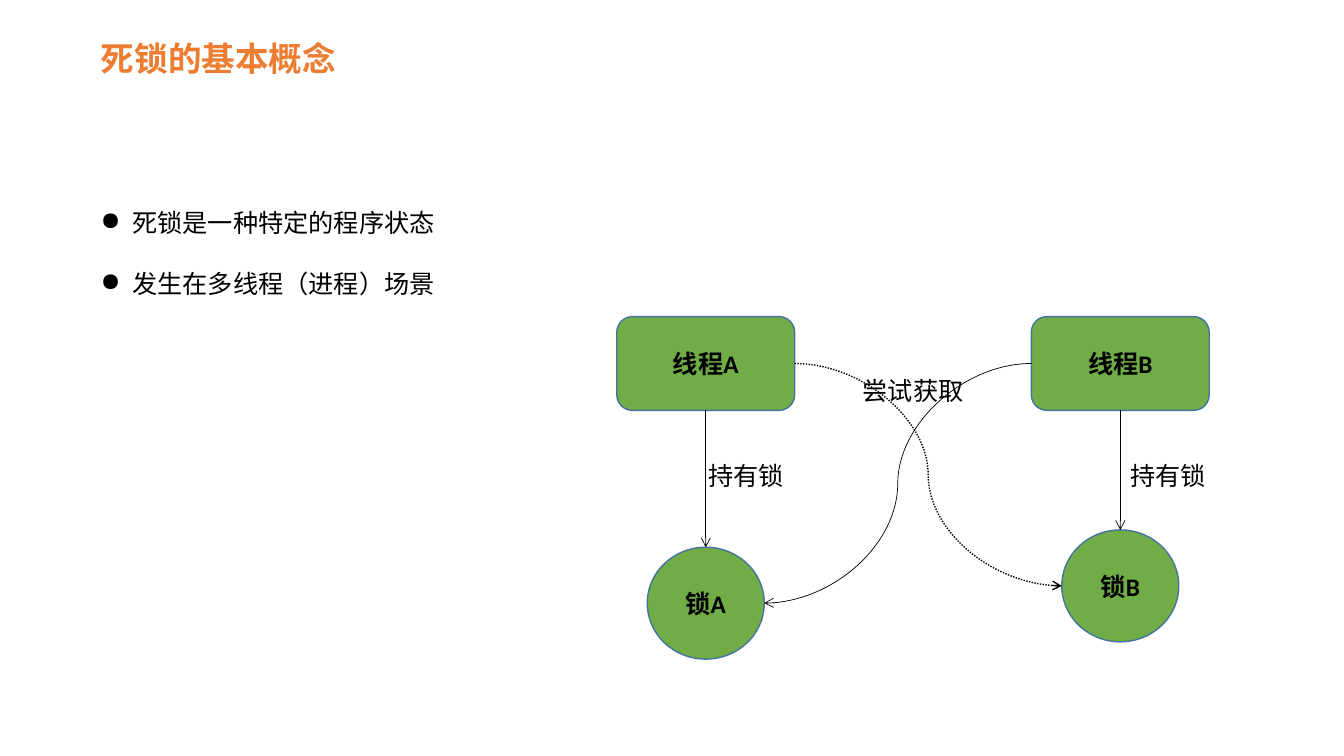
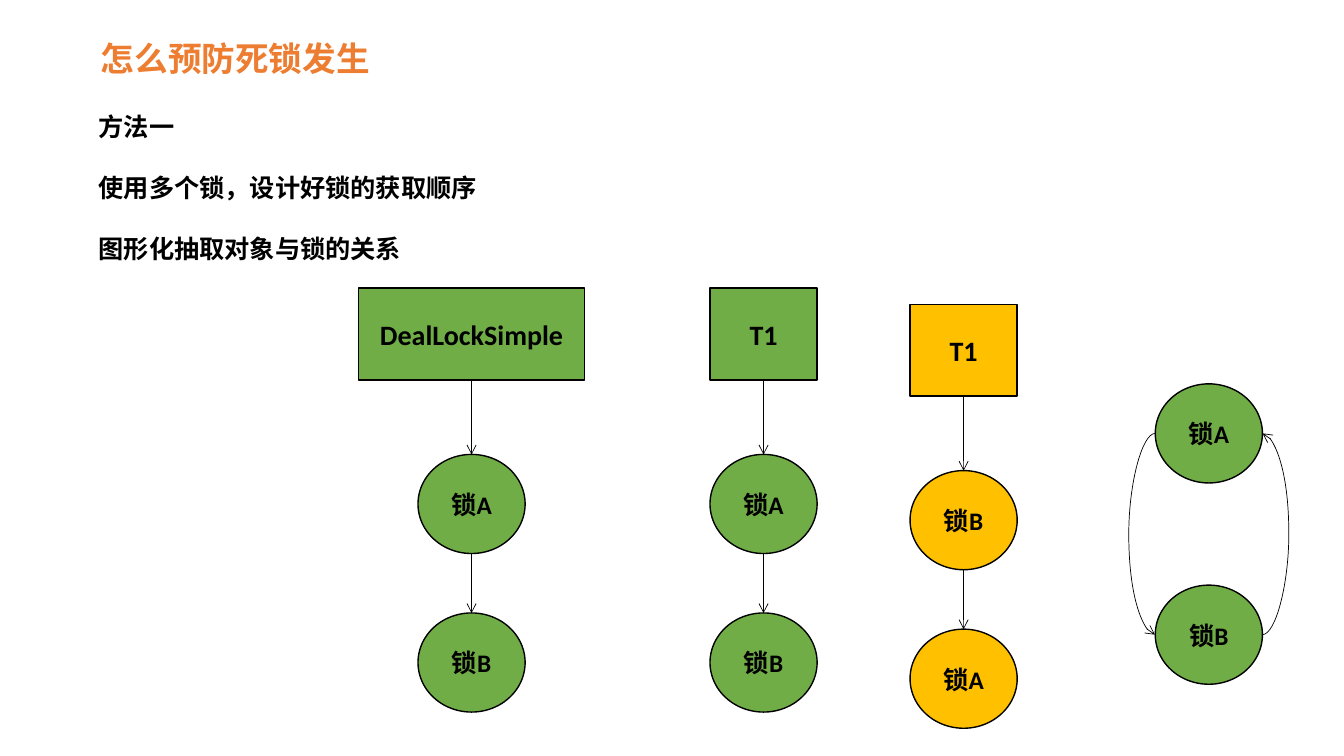
from dataclasses import dataclass
from itertools import pairwise

from lxml.etree import SubElement
from pptx import Presentation
from pptx.dml.color import RGBColor
from pptx.enum.dml import MSO_LINE
from pptx.enum.shapes import MSO_CONNECTOR, MSO_SHAPE
from pptx.enum.text import MSO_ANCHOR, MSO_AUTO_SIZE, PP_ALIGN
from pptx.oxml.ns import qn
from pptx.util import Emu, Inches, Pt

SIDES = {"top": (0.5, 0), "left": (0, 0.5), "bottom": (0.5, 1), "right": (1, 0.5)}


@dataclass(frozen=True)
class Theme:
    """Colours, fonts, type sizes and line widths."""
    accent: str = "ED7D31"
    ink: str = "000000"
    green: str = "70AD47"
    amber: str = "FFC000"
    outline: str = "43739E"
    cjk: str = "Noto Sans CJK SC"
    latin: str = "Calibri"
    title: int = 24
    head: int = 20
    body: int = 18
    leading: float = 1.21
    border: float = 1
    thin: float = 0.5


class Deck:
    """Draws on the current slide in cells of a 128 by 72 grid."""

    def __init__(self, theme):
        """Open a wide presentation."""
        self.theme = theme
        self.prs = Presentation()
        self.prs.slide_width, self.prs.slide_height = Inches(13.33), Inches(7.5)
        self.cell = self.prs.slide_height / 72

    def size(self, *cells):
        """Turn grid cells into lengths."""
        return [Emu(round(count * self.cell)) for count in cells]

    def fill_text(self, frame, lines, size, font, color=None, bold=False, gap=0):
        """Fill a text frame and format its paragraphs and runs."""
        frame.text = "\n".join(lines)
        for paragraph in frame.paragraphs:
            paragraph.line_spacing = Pt(round(size * self.theme.leading))
            paragraph.space_before = Pt(0)
            paragraph.space_after = Pt(gap)
            for run in paragraph.runs:
                run.font.size, run.font.bold, run.font.name = Pt(size), bold, font
                run.font.color.rgb = RGBColor.from_string(color or self.theme.ink)
                east_asian = SubElement(run._r.get_or_add_rPr(), qn("a:ea"))
                east_asian.set("typeface", self.theme.cjk)

    def slide(self, title):
        """Start a slide with its title."""
        self.page = self.prs.slides.add_slide(self.prs.slide_layouts[5])
        heading = self.page.shapes.title
        heading.left, heading.top, heading.width, heading.height = self.size(8.64, 3.07, 64.8, 4.8)
        frame = heading.text_frame
        frame.auto_size = MSO_AUTO_SIZE.NONE
        frame.vertical_anchor = MSO_ANCHOR.TOP
        self.fill_text(frame, [title], self.theme.title, self.theme.cjk, self.theme.accent, True)
        frame.paragraphs[0].alignment = PP_ALIGN.LEFT

    def points(self, box, lines, bold=False, bulleted=False):
        """Add spaced paragraphs, with or without bullets."""
        frame = self.page.shapes.add_textbox(*self.size(*box)).text_frame
        frame.word_wrap = True
        self.fill_text(frame, lines, self.theme.body, self.theme.cjk, bold=bold, gap=21.5)
        if bulleted:
            indent, = self.size(3)
            for paragraph in frame.paragraphs:
                properties = paragraph._p.get_or_add_pPr()
                properties.set("marL", str(indent))
                properties.set("indent", str(-indent))
                SubElement(properties, qn("a:buChar")).set("char", "●")

    def label(self, left, top, width, text):
        """Add an unwrapped label beside an arrow."""
        frame = self.page.shapes.add_textbox(*self.size(left, top, width, 3.84)).text_frame
        frame.word_wrap = False
        self.fill_text(frame, [text], self.theme.body, self.theme.latin)

    def node(self, kind, center, extent, text, fill=None, border=None, size=None):
        """Add a filled shape around a centre point."""
        (x, y), (width, height) = center, extent
        shape = self.page.shapes.add_shape(
            kind, *self.size(x - width / 2, y - height / 2, width, height))
        shape.shadow.inherit = False
        shape.fill.solid()
        shape.fill.fore_color.rgb = RGBColor.from_string(fill or self.theme.green)
        shape.line.color.rgb = RGBColor.from_string(border or self.theme.ink)
        shape.line.width = Pt(self.theme.border)
        frame = shape.text_frame
        frame.vertical_anchor = MSO_ANCHOR.MIDDLE
        self.fill_text(frame, [text], size or self.theme.body, self.theme.latin, bold=True)
        frame.paragraphs[0].alignment = PP_ALIGN.CENTER
        return shape

    def arrow(self, start, start_side, end, end_side,
              kind=MSO_CONNECTOR.STRAIGHT, dotted=False, bulge=0):
        """Glue an arrow to two nodes; a bulge bows it away from one side."""
        spots = []
        for shape, side in ((start, start_side), (end, end_side)):
            across, down = SIDES[side]
            spots += [round(shape.left + across * shape.width),
                      round(shape.top + down * shape.height)]
        nudge = 0.03
        if bulge:
            shift, = self.size(nudge)
            spots[2] = spots[0] + (shift if start_side == "right" else -shift)
        connector = self.page.shapes.add_connector(kind, *map(Emu, spots))
        connector.line.color.rgb = RGBColor.from_string(self.theme.ink)
        connector.line.width = Pt(self.theme.border if dotted else self.theme.thin)
        if dotted:
            connector.line.dash_style = MSO_LINE.ROUND_DOT
        properties = connector._element.spPr
        SubElement(properties.find(qn("a:ln")), qn("a:tailEnd")).set("type", "arrow")
        SubElement(properties, qn("a:effectLst"))
        if bulge:
            guide = SubElement(properties.find(".//" + qn("a:avLst")), qn("a:gd"))
            guide.set("name", "adj1")
            guide.set("fmla", f"val {round(bulge / nudge * 100000)}")
        glue = connector._element.find(".//" + qn("p:cNvCxnSpPr"))
        for tag, shape, side in (("a:stCxn", start, start_side), ("a:endCxn", end, end_side)):
            step = 2 if shape.auto_shape_type == MSO_SHAPE.OVAL else 1
            site = SubElement(glue, qn(tag))
            site.set("id", str(shape.shape_id))
            site.set("idx", str(list(SIDES).index(side) * step))

    def lock(self, x, y, name, fill=None):
        """Add a lock of the ordering diagrams."""
        return self.node(MSO_SHAPE.OVAL, (x, y), (10.2, 9.44), f"锁{name}", fill)

    def chain(self, x, drop, owner, width, locks, fill):
        """Add an owner with the locks it takes in order below it."""
        links = [self.node(MSO_SHAPE.RECTANGLE, (x, 31.82 + drop), (width, 8.74),
                           owner, fill, size=self.theme.head)]
        links += [self.lock(x, 48 + drop + 15.1 * turn, name, fill)
                  for turn, name in enumerate(locks)]
        for upper, lower in pairwise(links):
            self.arrow(upper, "bottom", lower, "top")


theme = Theme()
deck = Deck(theme)

deck.slide("死锁的基本概念")
deck.points((8.64, 19.2, 42.6, 9.7), ["死锁是一种特定的程序状态", "发生在多线程（进程）场景"],
            bulleted=True)
threads, locks = [], []
for name, x, lock_y, label_x in (("A", 67.2, 57.45, 66.5), ("B", 106.67, 55.8, 106.67)):
    threads.append(deck.node(MSO_SHAPE.ROUNDED_RECTANGLE, (x, 34.62), (16.94, 8.94),
                             f"线程{name}", border=theme.outline))
    locks.append(deck.node(MSO_SHAPE.OVAL, (x, lock_y), (11.14, 10.66),
                           f"锁{name}", border=theme.outline))
    deck.arrow(threads[-1], "bottom", locks[-1], "top")
    deck.label(label_x, 43.3, 9.12, "持有锁")
deck.arrow(threads[1], "left", locks[0], "right", MSO_CONNECTOR.CURVE)
deck.arrow(threads[0], "right", locks[1], "left", MSO_CONNECTOR.CURVE, dotted=True)
deck.label(81.2, 35.2, 11.5, "尝试获取")

deck.slide("怎么预防死锁发生")
deck.points((8.45, 10.08, 49.6, 15.5),
            ["方法一", "使用多个锁，设计好锁的获取顺序", "图形化抽取对象与锁的关系"], bold=True)
for x, drop, owner, width, order, fill in (
        (44.9, 0, "DealLockSimple", 21.5, "AB", theme.green),
        (72.7, 0, "T1", 10.2, "AB", theme.green),
        (91.75, 1.54, "T1", 10.2, "BA", theme.amber)):
    deck.chain(x, drop, owner, width, order, fill)
lock_a, lock_b = deck.lock(115.1, 41.28, "A"), deck.lock(115.1, 60.45, "B")
deck.arrow(lock_b, "right", lock_a, "right", MSO_CONNECTOR.CURVE, bulge=2.5)
deck.arrow(lock_a, "left", lock_b, "left", MSO_CONNECTOR.CURVE, bulge=2.5)

deck.prs.save("out.pptx")
